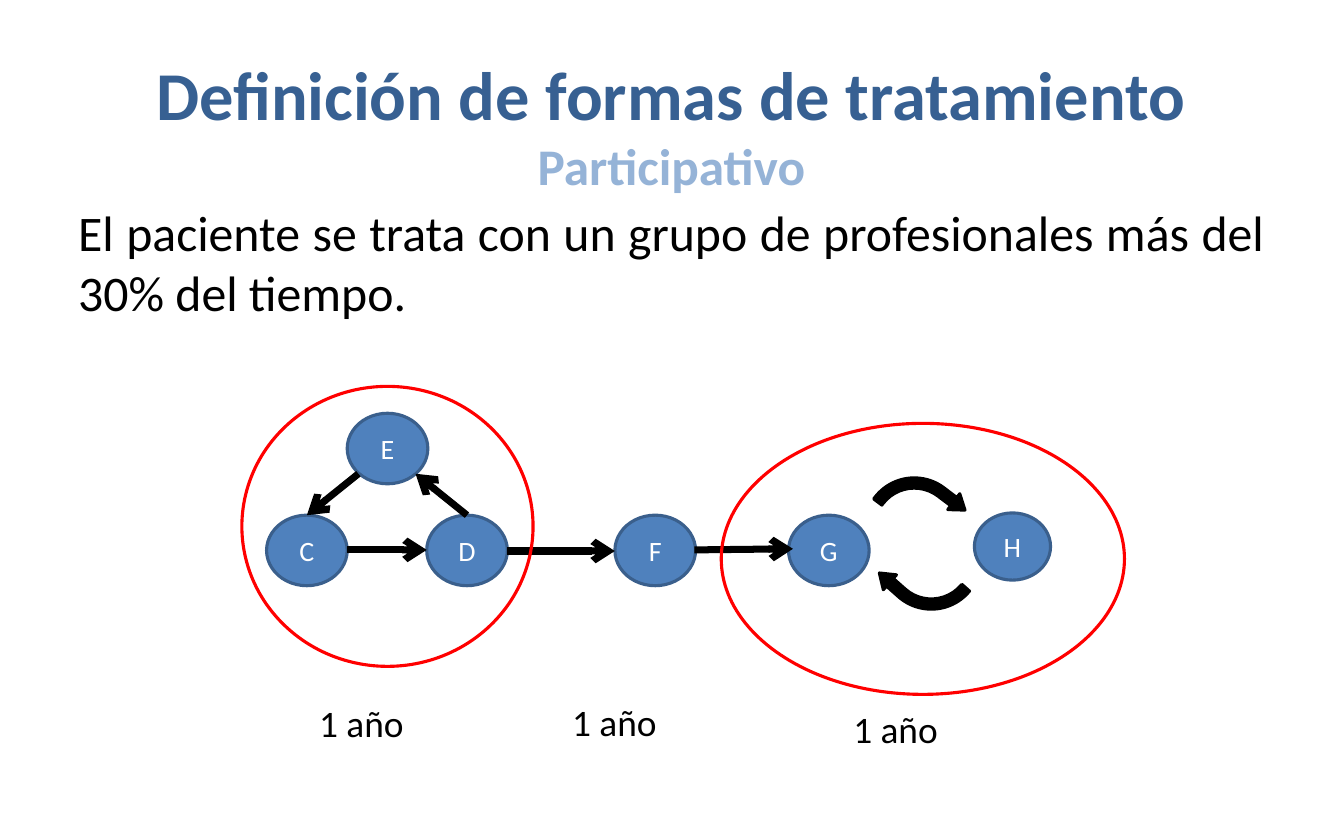
"""Builds the slide on participative treatment: patient groups over three years."""
from pptx import Presentation, util as u
from pptx.dml.color import RGBColor
from pptx.enum import shapes as sh, text as tx
from pptx.oxml.ns import qn
from lxml import etree

theme = {
    "font": "Calibri", "head": "376092", "sub": "95B3D7", "ink": "000000",
    "node": "4F81BD", "edge": "3A5F8C", "ring": "FF0000", "white": "FFFFFF",
    "title": 44, "second": 33, "body": 32, "year": 24, "mark": 18,
}
kind = sh.MSO_SHAPE
mid = tx.PP_ALIGN.CENTER

deck = Presentation()
deck.slide_width, deck.slide_height = u.Inches(12), u.Inches(7.5)
slide = deck.slides.add_slide(deck.slide_layouts[6])
items = slide.shapes


def write(shape, words, styles, align, anchor=tx.MSO_ANCHOR.TOP):
    frame = shape.text_frame
    frame.word_wrap = True
    frame.vertical_anchor = anchor
    para = frame.paragraphs[0]
    para.text = words
    para.alignment = align
    for run, (size, color, bold) in zip(para.runs, styles):
        run.font.name = theme["font"]
        run.font.size = u.Pt(theme[size])
        run.font.bold = bold
        run.font.color.rgb = RGBColor.from_string(theme[color])


def draw(form, box, fill, line):
    shape = items.add_shape(form, *map(u.Inches, box))
    shape.shadow.inherit = False
    if fill:
        shape.fill.solid()
        shape.fill.fore_color.rgb = RGBColor.from_string(theme[fill])
    else:
        shape.fill.background()
    shape.line.color.rgb = RGBColor.from_string(theme[line])
    shape.line.width = u.Pt(2)
    return shape


body = items.add_textbox(*map(u.Inches, (0.6, 1.75, 10.8, 4.95)))
write(body, "El paciente se trata con un grupo de profesionales más del 30% del tiempo.",
      [("body", "ink", False)], tx.PP_ALIGN.JUSTIFY)

nodes = {"D": (3.81, 4.6), "C": (2.38, 4.6), "G": (7.04, 4.6),
         "F": (5.49, 4.6), "H": (8.7, 4.58), "E": (3.1, 3.69)}
for name, spot in nodes.items():
    size = (0.68, 0.6) if name == "H" else (0.72, 0.63)
    node = draw(kind.OVAL, spot + size, "node", "edge")
    write(node, name, [("mark", "white", False)], mid, tx.MSO_ANCHOR.MIDDLE)

for left, top, turn in [(7.88, 4.22, 37.1), (7.87, 4.98, 221.5)]:
    bend = draw(kind.BENT_ARROW, (left, top, 0.71, 0.5), "ink", "ink")
    bend.rotation = turn
    for i, value in enumerate((0.182, 0.177, 0.25, 0.883)):
        bend.adjustments[i] = value

links = [(3.1, 4.91, 3.81, 4.91), (6.2, 4.91, 7.08, 4.9), (3.2, 4.23, 2.74, 4.6),
         (4.17, 4.6, 3.71, 4.23), (4.53, 4.92, 5.49, 4.92)]
for ends in links:
    link = items.add_connector(sh.MSO_CONNECTOR.STRAIGHT, *map(u.Inches, ends))
    link.line.color.rgb = RGBColor.from_string(theme["ink"])
    link.line.width = u.Pt(4.5)
    etree.SubElement(link.line._get_or_add_ln(), qn("a:tailEnd"), type="arrow")
    etree.SubElement(link._element.spPr, qn("a:effectLst"))

for box in [(2.16, 3.45, 2.6, 2.5), (6.44, 3.78, 3.6, 2.42)]:
    draw(kind.OVAL, box, None, "ring")

title = items.add_textbox(*map(u.Inches, (0.82, 0.38, 10.35, 1.45)))
write(title, "Definición de formas de tratamiento\vParticipativo",
      [("title", "head", True), ("second", "sub", True)], mid, tx.MSO_ANCHOR.MIDDLE)

for left, top in [(2.75, 6.2), (5.01, 6.19), (7.52, 6.26)]:
    year = items.add_textbox(*map(u.Inches, (left, top, 1.18, 0.5)))
    write(year, "1 año", [("year", "ink", False)], tx.PP_ALIGN.LEFT)

deck.save("out.pptx")
